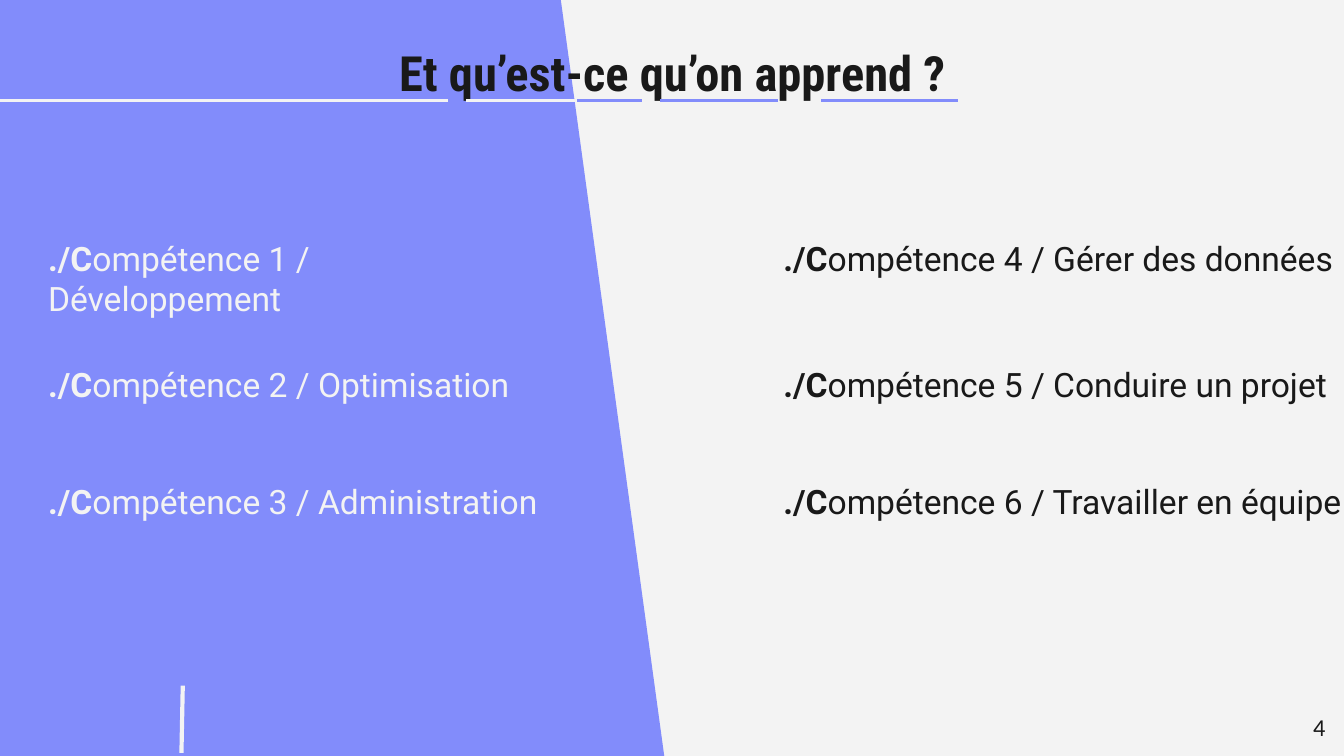
from dataclasses import dataclass

from lxml.etree import SubElement
from pptx import Presentation
from pptx.dml.color import RGBColor
from pptx.enum.shapes import MSO_CONNECTOR
from pptx.enum.text import MSO_ANCHOR, PP_ALIGN
from pptx.oxml.ns import qn
from pptx.util import Inches, Pt

WIDTH, HEIGHT = Inches(10), Inches(5.625)
BLUE, LIGHT, DARK = "828CFB", "F3F3F3", "191919"
RULE_Y = 13.33


@dataclass
class Column:
    left: float
    width: float
    color: str
    skills: list[str]


@dataclass
class Line:
    start: tuple[float, float]
    end: tuple[float, float]
    color: str
    weight: float = 1.5


# Positions and sizes are percentages of the slide's width and height.
ROWS = [29.7, 46.4, 61.9]
COLUMNS = [
    Column(2.6, 39.4, LIGHT, ["1 / Développement", "2 / Optimisation", "3 / Administration"]),
    Column(57.3, 43.7, DARK, ["4 / Gérer des données", "5 / Conduire un projet",
                              "6 / Travailler en équipe"]),
]
RULES = [(-1.3, 33.3, LIGHT), (42.4, 47.8, BLUE), (34.7, 42.9, LIGHT),
         (49.1, 57.9, BLUE), (61.1, 71.3, BLUE)]


def rgb(color: str) -> RGBColor:
    return RGBColor.from_string(color)


def x(share: float) -> int:
    return round(WIDTH * share / 100)


def y(share: float) -> int:
    return round(HEIGHT * share / 100)


def place(sp, left: float, top: float, width: float, height: float) -> None:
    sp.left, sp.top, sp.width, sp.height = x(left), y(top), x(width), y(height)


def format_frame(tf, anchor=MSO_ANCHOR.TOP) -> None:
    tf.word_wrap = True
    tf.vertical_anchor = anchor
    tf.margin_left = tf.margin_right = tf.margin_top = tf.margin_bottom = Inches(0.1)


def format_run(r, font: str, size: float, color: str, bold: bool = False) -> None:
    r.font.name, r.font.size, r.font.bold = font, Pt(size), bold
    r.font.color.rgb = rgb(color)


def add_wedge(s) -> None:
    builder = s.shapes.build_freeform(x(41.7), y(-0.4))
    builder.add_line_segments([(x(49.5), y(101)), (x(-0.4), y(101)), (x(-0.4), y(-0.4))])
    sp = builder.convert_to_shape()
    sp.shadow.inherit = False
    sp.fill.solid()
    sp.fill.fore_color.rgb = rgb(BLUE)
    sp.line.fill.background()


def add_line(s, line: Line) -> None:
    (x1, y1), (x2, y2) = line.start, line.end
    sp = s.shapes.add_connector(MSO_CONNECTOR.STRAIGHT, x(x1), y(y1), x(x2), y(y2))
    sp.line.color.rgb = rgb(line.color)
    sp.line.width = Pt(line.weight)
    SubElement(sp._element.spPr, qn("a:effectLst"))


def add_title(s, text: str) -> None:
    sp = s.shapes.title
    place(sp, 7.4, 3.9, 85.3, 10.8)
    # Bring the title in front of the wedge.
    s.shapes._spTree.append(sp._element)
    tf = sp.text_frame
    tf.text = text
    format_frame(tf)
    p = tf.paragraphs[0]
    p.alignment = PP_ALIGN.CENTER
    format_run(p.runs[0], "Roboto Condensed", 26, DARK, True)


def add_skill(s, column: Column, top: float, skill: str) -> None:
    sp = s.shapes.add_textbox(0, 0, 0, 0)
    place(sp, column.left, top, column.width, 8.5)
    format_frame(sp.text_frame)
    p = sp.text_frame.paragraphs[0]
    for text, bold in (("./C", True), (f"ompétence {skill}", False)):
        r = p.add_run()
        r.text = text
        format_run(r, "Roboto", 18, column.color, bold)


def add_page_number(s, number: str) -> None:
    sp = s.shapes.add_textbox(0, 0, 0, 0)
    place(sp, 93.6, 92.3, 6, 7.7)
    tf = sp.text_frame
    tf.text = number
    format_frame(tf, MSO_ANCHOR.MIDDLE)
    p = tf.paragraphs[0]
    p.alignment = PP_ALIGN.RIGHT
    format_run(p.runs[0], "Calibri", 13, DARK)


def main() -> None:
    prs = Presentation()
    prs.slide_width, prs.slide_height = WIDTH, HEIGHT
    s = prs.slides.add_slide(prs.slide_layouts[5])
    s.background.fill.solid()
    s.background.fill.fore_color.rgb = rgb(LIGHT)

    add_wedge(s)
    add_line(s, Line((13.6, 90.7), (13.5, 99.6), LIGHT, 2.25))
    add_page_number(s, "4")
    add_title(s, "Et qu’est-ce qu’on apprend ?")
    for start, end, color in RULES:
        add_line(s, Line((start, RULE_Y), (end, RULE_Y), color))
    for column in COLUMNS:
        for top, skill in zip(ROWS, column.skills):
            add_skill(s, column, top, skill)

    prs.save("out.pptx")


if __name__ == "__main__":
    main()
